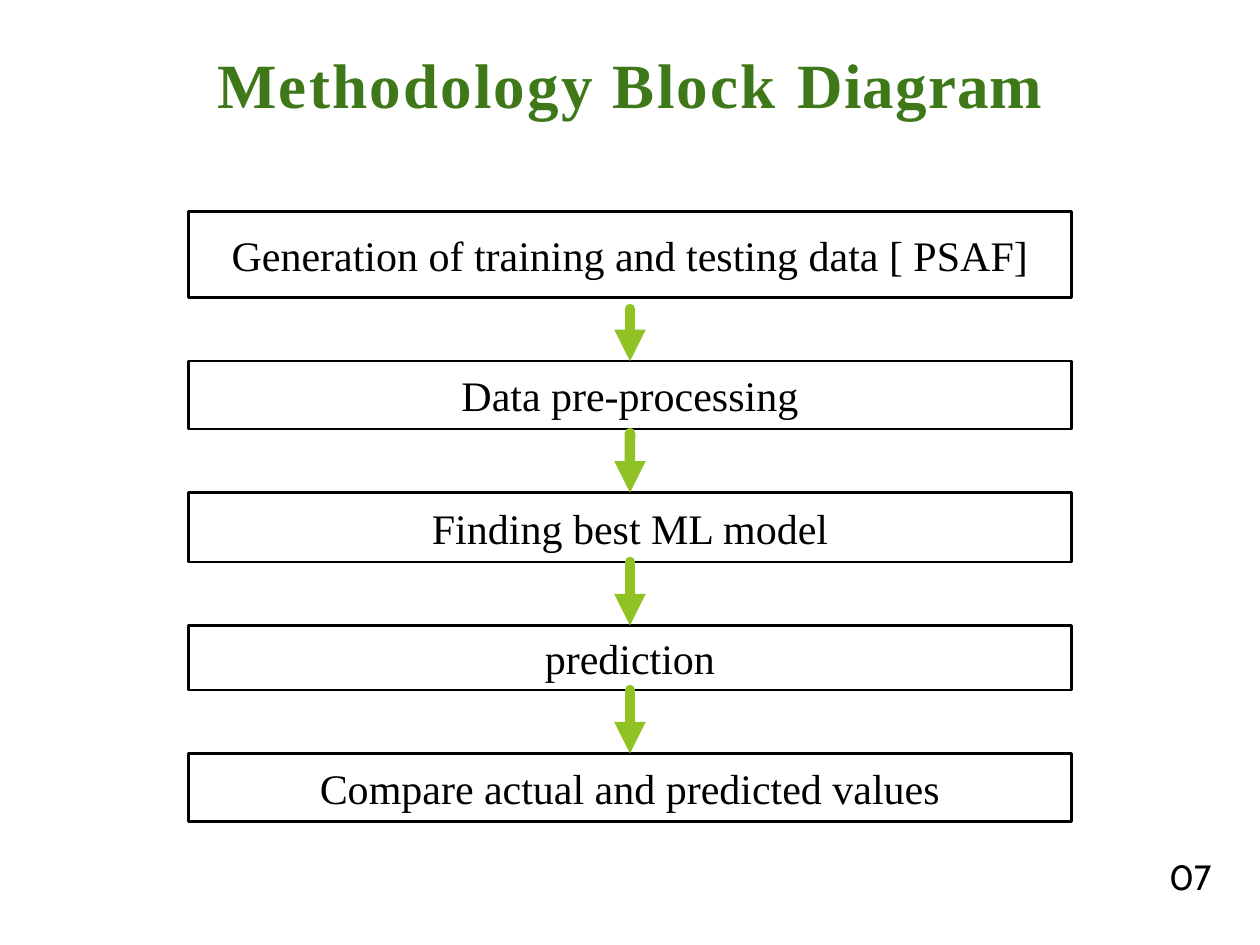
from dataclasses import dataclass

from lxml.etree import SubElement
from pptx import Presentation
from pptx.dml.color import RGBColor
from pptx.enum.shapes import MSO_CONNECTOR, MSO_SHAPE
from pptx.enum.text import MSO_ANCHOR, PP_ALIGN
from pptx.oxml.ns import qn
from pptx.slide import Slide
from pptx.util import Cm, Pt


def rgb(value):
    """Turn a hex string into a colour."""
    return RGBColor.from_string(value)


def add_text(p, text, font="Times New Roman", size=24, color="000000", bold=False, spacing=0):
    """Add a formatted run to a paragraph."""
    r = p.add_run()
    r.text = text
    r.font.name = font
    r.font.size = Pt(size)
    r.font.bold = bold
    r.font.color.rgb = rgb(color)
    if spacing:
        r.font._element.set("spc", str(round(spacing * 100)))


@dataclass
class Diagram:
    """Hold the flow chart's style and its slide."""
    s: Slide
    center: float = 12.7
    box_width: float = 17.8
    line: str = "000000"
    fill: str = "FFFFFF"
    accent: str = "90C226"
    heading: str = "3F7819"

    def text_box(self, left, top, width, height, align=PP_ALIGN.LEFT):
        """Add an empty text box."""
        sp = self.s.shapes.add_textbox(Cm(left), Cm(top), Cm(width), Cm(height))
        sp.text_frame.word_wrap = True
        sp.text_frame.paragraphs[0].alignment = align
        return sp.text_frame

    def title(self, parts):
        """Add the heading from text and letter spacing pairs."""
        tf = self.text_box(0, 0.64, 2 * self.center, 1.73, PP_ALIGN.CENTER)
        tf.margin_left = tf.margin_right = tf.margin_bottom = 0
        tf.margin_top = Cm(0.27)
        for text, spacing in parts:
            add_text(tf.paragraphs[0], text, size=36, color=self.heading, bold=True, spacing=spacing)

    def step(self, text, top, height):
        """Add one process box."""
        sp = self.s.shapes.add_shape(
            MSO_SHAPE.FLOWCHART_PROCESS,
            Cm(self.center - self.box_width / 2), Cm(top), Cm(self.box_width), Cm(height))
        sp.shadow.inherit = False
        sp.fill.solid()
        sp.fill.fore_color.rgb = rgb(self.fill)
        sp.line.color.rgb = rgb(self.line)
        sp.line.width = Pt(1.5)
        tf = sp.text_frame
        tf.word_wrap = True
        tf.vertical_anchor = MSO_ANCHOR.MIDDLE
        p = tf.paragraphs[0]
        p.alignment = PP_ALIGN.CENTER
        add_text(p, text)
        return sp

    def arrow(self, upper, lower, offset):
        """Point from one box to the next, starting below the upper box by the offset."""
        start = upper.top + upper.height + Cm(offset)
        cx = self.s.shapes.add_connector(
            MSO_CONNECTOR.STRAIGHT, Cm(self.center), start, Cm(self.center), lower.top)
        if not offset:
            cx.begin_connect(upper, 2)
        cx.end_connect(lower, 0)
        cx.line.color.rgb = rgb(self.accent)
        cx.line.width = Pt(6)
        ln = cx.line._get_or_add_ln()
        ln.set("cap", "rnd")
        SubElement(ln, qn("a:tailEnd"), type="triangle")
        SubElement(cx._element.spPr, qn("a:effectLst"))

    def page_number(self, text):
        """Add the slide number."""
        tf = self.text_box(23.32, 17.12, 1.55, 1.12)
        add_text(tf.paragraphs[0], text, font="Cabin", size=20)


def main():
    """Build the slide."""
    prs = Presentation()
    prs.slide_width, prs.slide_height = Cm(25.4), Cm(19.05)
    d = Diagram(prs.slides.add_slide(prs.slide_layouts[6]))
    d.title([("Methodology Block ", 1.3), ("Diagram", 0.7)])
    steps = [
        ("Generation of training and testing data [ PSAF]", 1.73, 0),
        ("Data\u00a0pre-processing".replace("\u00a0", " "), 1.37, 0.23),
        ("Finding best ML model", 1.4, 0.08),
        ("prediction", 1.3, 0),
        ("Compare actual and predicted values", 1.37, 0),
    ]
    top, gap, previous = 4.27, 1.28, None
    for text, height, offset in steps:
        box = d.step(text, top, height)
        if previous:
            d.arrow(previous, box, offset)
        previous = box
        top += height + gap
    d.page_number("07")
    prs.save("out.pptx")


if __name__ == "__main__":
    main()
